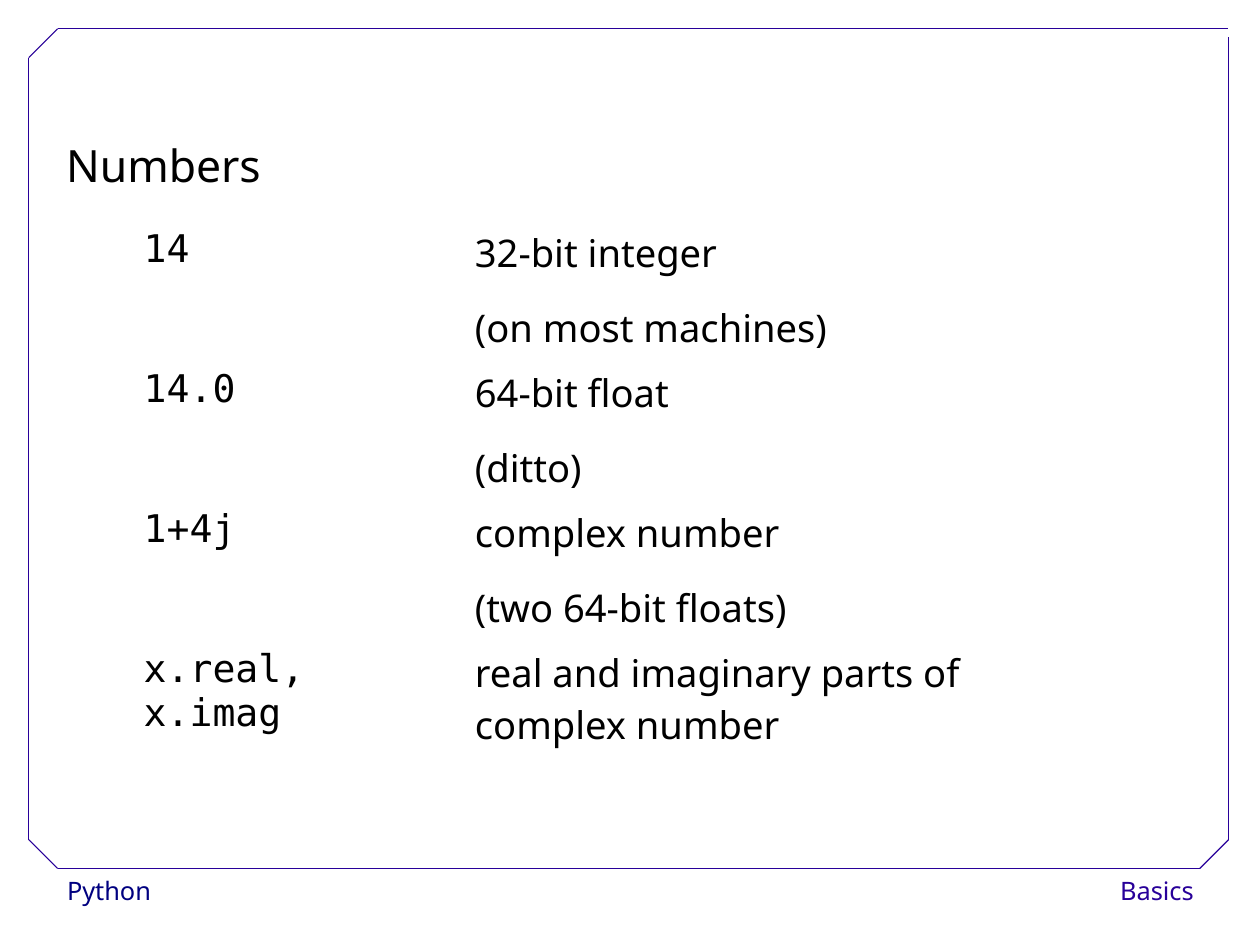
from pptx import Presentation, util as u
from pptx.dml.color import RGBColor
from pptx.enum import shapes, text
from pptx.oxml import xmlchemy

PX = u.Cm(28) // 1400
BLACK = RGBColor(0x00, 0x00, 0x00)
NAVY = RGBColor(0x00, 0x00, 0x80)
INDIGO = RGBColor(0x28, 0x00, 0x99)
SANS = "Noto Sans"
MONO = "DejaVu Sans Mono"

NUMBER_KINDS = [
    ("14", ["32-bit integer", "(on most machines)"]),
    ("14.0", ["64-bit float", "(ditto)"]),
    ("1+4j", ["complex number", "(two 64-bit floats)"]),
    ("x.real, x.imag", ["real and imaginary parts of complex number"]),
]


def px(*lengths):
    """Turn px lengths into EMU."""
    return [length * PX for length in lengths]


def style(paragraph, size, face, color):
    """Set the font of a paragraph."""
    paragraph.font.size = u.Pt(size)
    paragraph.font.name = face
    paragraph.font.color.rgb = color


def add_label(slide, box, words, size, color, spacing, align=text.PP_ALIGN.LEFT):
    """Add one line of text in the given box."""
    frame = slide.shapes.add_textbox(*px(*box)).text_frame
    frame.word_wrap = True
    line = frame.paragraphs[0]
    line.text = words
    line.alignment = align
    line.line_spacing = spacing
    style(line, size, SANS, color)


def add_border(slide, box, cut):
    """Draw a frame with three cut corners and an open top right one."""
    left, top, width, height = box
    right, bottom = left + width, top + height
    edges = [
        (left + cut, bottom, right - cut, bottom),
        (left, bottom - cut, left, top + cut),
        (left + cut, top, right, top),
        (right, bottom - cut, right, top + 9),
        (left, top + cut, left + cut, top),
        (right - cut, bottom, right, bottom - cut),
        (left, bottom - cut, left + cut, bottom),
    ]
    for edge in edges:
        side = slide.shapes.add_connector(shapes.MSO_CONNECTOR.STRAIGHT, *px(*edge))
        side.line.color.rgb = INDIGO
        side.line.width = u.Pt(0.75)
        side._element.spPr.append(xmlchemy.OxmlElement("a:effectLst"))


def add_footer(slide, box):
    """Put the course at the left and the chapter at the right of the box."""
    left, top, width, height = box
    course, chapter = 273, 178
    add_label(slide, (left, top, course, height), "Python", 16, NAVY, 1.02)
    add_label(slide, (left + width - chapter, top, chapter, height), "Basics",
              16, INDIGO, 1.02, text.PP_ALIGN.RIGHT)


def fill_cell(cell, lines, face):
    """Write the lines into a clear table cell."""
    cell.fill.background()
    cell.text = "\n".join(lines)
    for line in cell.text_frame.paragraphs:
        line.space_after = u.Pt(14)
        style(line, 24, face, BLACK)


def add_number_table(slide, box, literal_width):
    """List number literals beside their meanings."""
    table = slide.shapes.add_table(len(NUMBER_KINDS), 2, *px(*box)).table
    table.first_row = False
    table.horz_banding = False
    widths = px(literal_width, box[2] - literal_width)
    for column, width in zip(table.columns, widths):
        column.width = width
    for row, (literal, meaning) in enumerate(NUMBER_KINDS):
        fill_cell(table.cell(row, 0), [literal], MONO)
        fill_cell(table.cell(row, 1), meaning, SANS)


def main():
    """Build the slide on numbers."""
    deck = Presentation()
    deck.slide_width = 1400 * PX
    deck.slide_height = 1050 * PX
    slide = deck.slides.add_slide(deck.slide_layouts[6])
    add_footer(slide, (62, 965, 1277, 51))
    add_border(slide, (32, 32, 1333, 933), 32)
    add_label(slide, (61, 117, 368, 102), "Numbers", 28, BLACK, 1.5)
    add_number_table(slide, (147, 246, 1008, 622), 368)
    deck.save("out.pptx")


if __name__ == "__main__":
    main()
